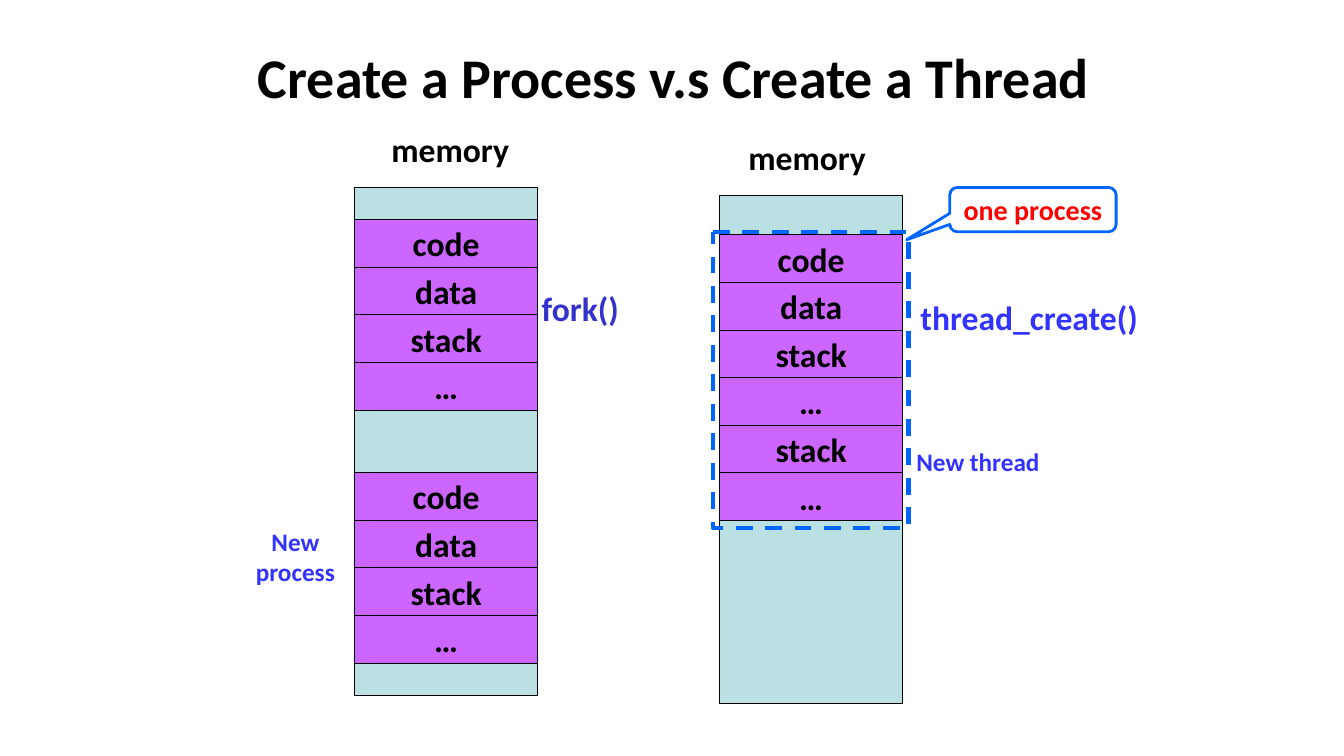
from pptx import Presentation
from pptx.dml.color import RGBColor
from pptx.enum.dml import MSO_LINE
from pptx.enum.shapes import MSO_SHAPE as SHAPE
from pptx.enum.text import MSO_ANCHOR as ANCHOR, PP_ALIGN as ALIGN
from pptx.util import Inches, Pt

COLORS = {
    "black": "000000", "memory": "BBE0E3", "segment": "CC66FF",
    "fork": "3333CC", "label": "3333FF", "outline": "0066FF", "red": "FF0000",
}
COL_W, COL_H, ROW_H = 1.81, 5.04, 0.4725
PROCESS_X, THREAD_X = 3.52, 7.14

prs = Presentation()
prs.slide_width, prs.slide_height = Inches(13.33), Inches(7.5)
s = prs.slides.add_slide(prs.slide_layouts[5])


def write(text, sp, size=24, color="black", align=ALIGN.CENTER, anchor=ANCHOR.MIDDLE, wrap=True):
    tf = sp.text_frame
    tf.word_wrap = wrap
    tf.vertical_anchor = anchor
    p = tf.paragraphs[0]
    p.alignment = align
    r = p.add_run()
    r.text = text
    r.font.name, r.font.size, r.font.bold = "Calibri", Pt(size), True
    r.font.color.rgb = RGBColor.from_string(COLORS[color])


def add_box(x, y, w, h, kind=SHAPE.RECTANGLE, fill=None, line="black", width=0.75):
    sp = s.shapes.add_shape(kind, Inches(x), Inches(y), Inches(w), Inches(h))
    sp.shadow.inherit = False
    if fill:
        sp.fill.solid()
        sp.fill.fore_color.rgb = RGBColor.from_string(COLORS[fill])
    else:
        sp.fill.background()
    sp.line.color.rgb = RGBColor.from_string(COLORS[line])
    sp.line.width = Pt(width)
    return sp


# Title
title = s.shapes.title
title.left, title.top, title.width, title.height = (Inches(v) for v in (0.68, 0.13, 12, 1.25))
write("Create a Process v.s Create a Thread", title, size=40)

# Memory columns
for x, y in ((PROCESS_X, 1.86), (THREAD_X, 1.94)):
    add_box(x, y, COL_W, COL_H, fill="memory")

# Stacked segments of each process and thread
process = ["code", "data", "stack", "…"]
for x, top, names in (
    (PROCESS_X, 2.18, process),
    (PROCESS_X, 4.69, process),
    (THREAD_X, 2.33, process + ["stack", "…"]),
):
    for row, name in enumerate(names):
        segment = add_box(x, top + row * ROW_H, COL_W, ROW_H, fill="segment")
        write(name, segment, wrap=False)

# Labels beside the columns
for text, x, y, w, h, size, color in (
    ("memory", 3.6, 1.23, 1.73, 0.5, 24, "black"),
    ("memory", THREAD_X, 1.31, 1.73, 0.5, 24, "black"),
    ("fork()", 4.93, 2.81, 1.65, 0.5, 24, "fork"),
    ("thread_create()", 9.03, 2.9, 2.38, 0.5, 24, "label"),
    ("New process", 2.18, 5.17, 1.5, 0.7, 18, "label"),
    ("New thread", 8.95, 4.38, 1.5, 0.4, 18, "label"),
):
    label = s.shapes.add_textbox(Inches(x), Inches(y), Inches(w), Inches(h))
    align = ALIGN.LEFT if text == "thread_create()" else ALIGN.CENTER
    write(text, label, size=size, color=color, align=align, anchor=ANCHOR.TOP)

# Dashed frame around the single process
frame = add_box(7.07, 2.3, 1.94, 2.94, SHAPE.FLOWCHART_PROCESS, line="outline", width=3)
frame.line.dash_style = MSO_LINE.DASH

# Callout
callout = add_box(9.42, 1.86, 1.65, 0.44, SHAPE.ROUNDED_RECTANGULAR_CALLOUT, line="outline", width=2)
for i, value in enumerate((-0.76, 0.68, 0.17)):
    callout.adjustments[i] = value
write("one process", callout, size=20, color="red")

prs.save("out.pptx")
